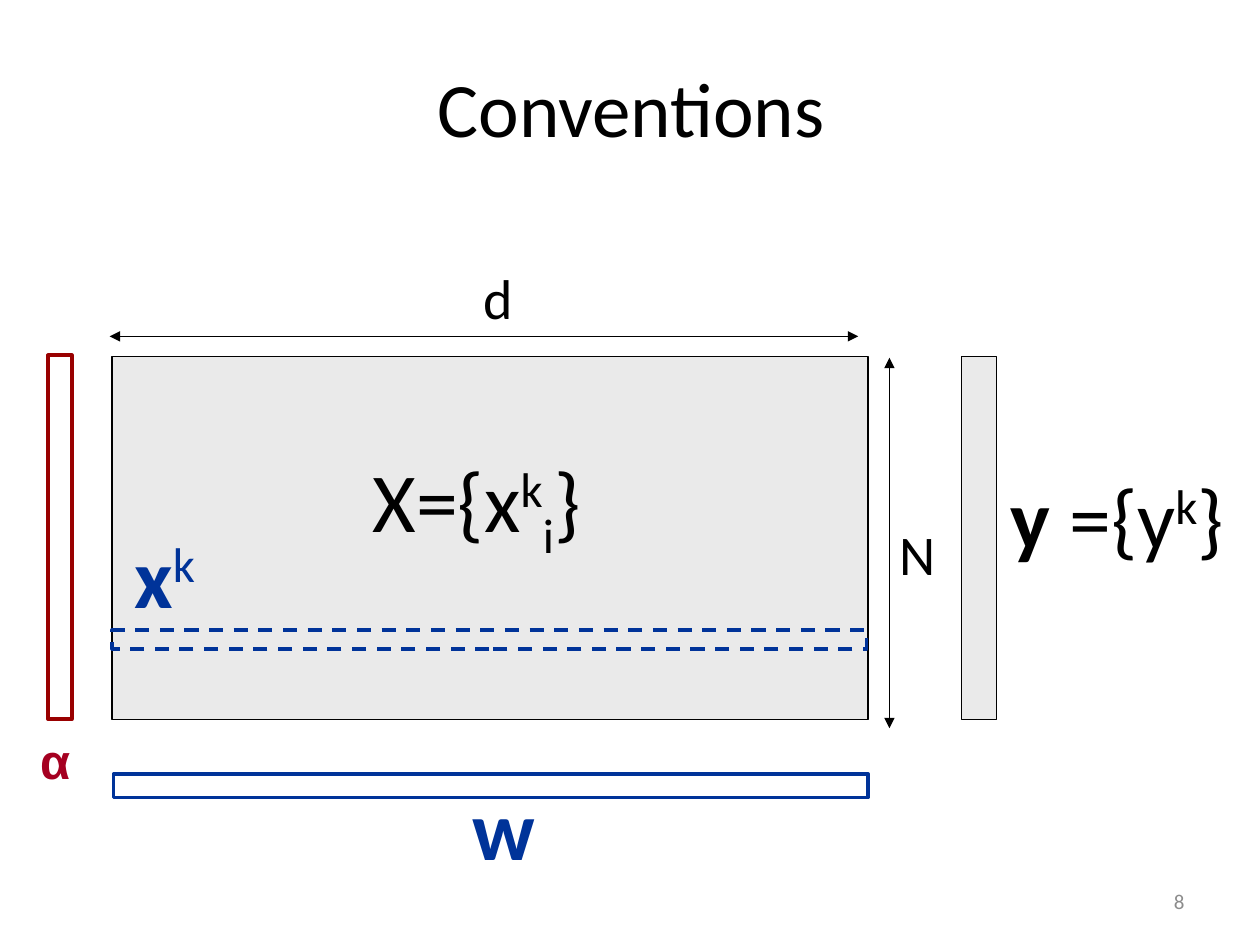
from lxml import etree
from pptx import Presentation
from pptx import util as u
from pptx.dml.color import RGBColor
from pptx.enum import dml, shapes, text
from pptx.oxml import ns

BLACK = RGBColor(0x00, 0x00, 0x00)
GREY = RGBColor(0xEA, 0xEA, 0xEA)
DIM = RGBColor(0x8C, 0x8C, 0x8C)
BLUE = RGBColor(0x00, 0x33, 0x99)
RED = RGBColor(0x99, 0x00, 0x00)
ROSE = RGBColor(0xA5, 0x00, 0x21)

LEFT, TOP, WIDE, HIGH = 2.26, 7.19, 15.24, 7.32
SOLID, DASH = dml.MSO_LINE.SOLID, dml.MSO_LINE.DASH
UP, DOWN = 30, -25
START, MID, END = text.PP_ALIGN.LEFT, text.PP_ALIGN.CENTER, text.PP_ALIGN.RIGHT

BARS = [
    ((LEFT, TOP, WIDE, HIGH), GREY, BLACK, 0.75, SOLID),
    ((19.38, TOP, 0.71, HIGH), GREY, BLACK, 0.75, SOLID),
    ((0.97, 7.16, 0.48, 7.34), None, RED, 2, SOLID),
    ((LEFT, 12.7, 15.21, 0.38), None, BLUE, 2, DASH),
    ((2.29, 15.6, 15.21, 0.48), None, BLUE, 2, SOLID),
]

SPANS = [(2.21, 6.78, 17.3, 6.78), (17.93, 7.21, 17.93, 14.68)]

LABELS = [
    ((1.93, 0.56, 21.59, 3.18), 44, BLACK, "Calibri", MID, True,
     [("Conventions", False, 0)]),
    ((7.26, 8.92, 8.15, 2.29), 48, BLACK, "Calibri", START, True,
     [("X={x", False, 0), ("k", False, UP), ("i", False, DOWN), ("}", False, 0)]),
    ((9.5, 5.18, 1.12, 1.63), 32, BLACK, "Calibri", START, False,
     [("d", False, 0)]),
    ((17.88, 10.34, 1.24, 1.63), 32, BLACK, "Calibri", START, False,
     [("N", False, 0)]),
    ((2.46, 10.44, 2.11, 2.29), 48, BLUE, "Calibri", START, True,
     [("x", True, 0), ("k", False, UP)]),
    ((20.12, 9.27, 7.19, 2.29), 48, BLACK, "Calibri", START, True,
     [("y ", True, 0), ("={y", False, 0), ("k", False, UP), ("}", False, 0)]),
    ((0.56, 14.61, 1.3, 1.45), 28, ROSE, "Arial", START, True,
     [("α", True, 0)]),
    ((9.27, 15.52, 2.11, 2.29), 48, BLUE, "Calibri", START, True,
     [("w", True, 0)]),
    ((18.21, 17.65, 5.92, 1.02), 12, DIM, "Calibri", END, True,
     [("8", False, 0)]),
]


def cms(nums):
    return [u.Cm(n) for n in nums]


def add_bar(slide, box, fill, color, width, dash):
    bar = slide.shapes.add_shape(shapes.MSO_SHAPE.RECTANGLE, *cms(box))
    bar.shadow.inherit = False
    if fill is None:
        bar.fill.background()
    else:
        bar.fill.solid()
        bar.fill.fore_color.rgb = fill
    bar.line.color.rgb = color
    bar.line.width = u.Pt(width)
    bar.line.dash_style = dash


def add_span(slide, ends):
    span = slide.shapes.add_connector(shapes.MSO_CONNECTOR.STRAIGHT, *cms(ends))
    span.line.color.rgb = BLACK
    span.line.width = u.Pt(0.75)
    line = span.line._get_or_add_ln()
    for tag in ("a:headEnd", "a:tailEnd"):
        etree.SubElement(line, ns.qn(tag), type="triangle")
    etree.SubElement(span._element.spPr, ns.qn("a:effectLst"))


def add_label(slide, box, size, color, face, align, wrap, runs):
    frame = slide.shapes.add_textbox(*cms(box)).text_frame
    frame.word_wrap = wrap
    if align != START:
        frame.vertical_anchor = text.MSO_ANCHOR.MIDDLE
    para = frame.paragraphs[0]
    para.alignment = align
    for words, bold, shift in runs:
        run = para.add_run()
        run.text = words
        font = run.font
        font.name, font.size, font.bold = face, u.Pt(size), bold
        font.color.rgb = color
        if shift:
            run._r.get_or_add_rPr().set("baseline", str(shift * 1000))


def main():
    deck = Presentation()
    deck.slide_width, deck.slide_height = cms((25.4, 19.05))
    slide = deck.slides.add_slide(deck.slide_layouts[6])
    for bar in BARS:
        add_bar(slide, *bar)
    for ends in SPANS:
        add_span(slide, ends)
    for label in LABELS:
        add_label(slide, *label)
    deck.save("out.pptx")


if __name__ == "__main__":
    main()
